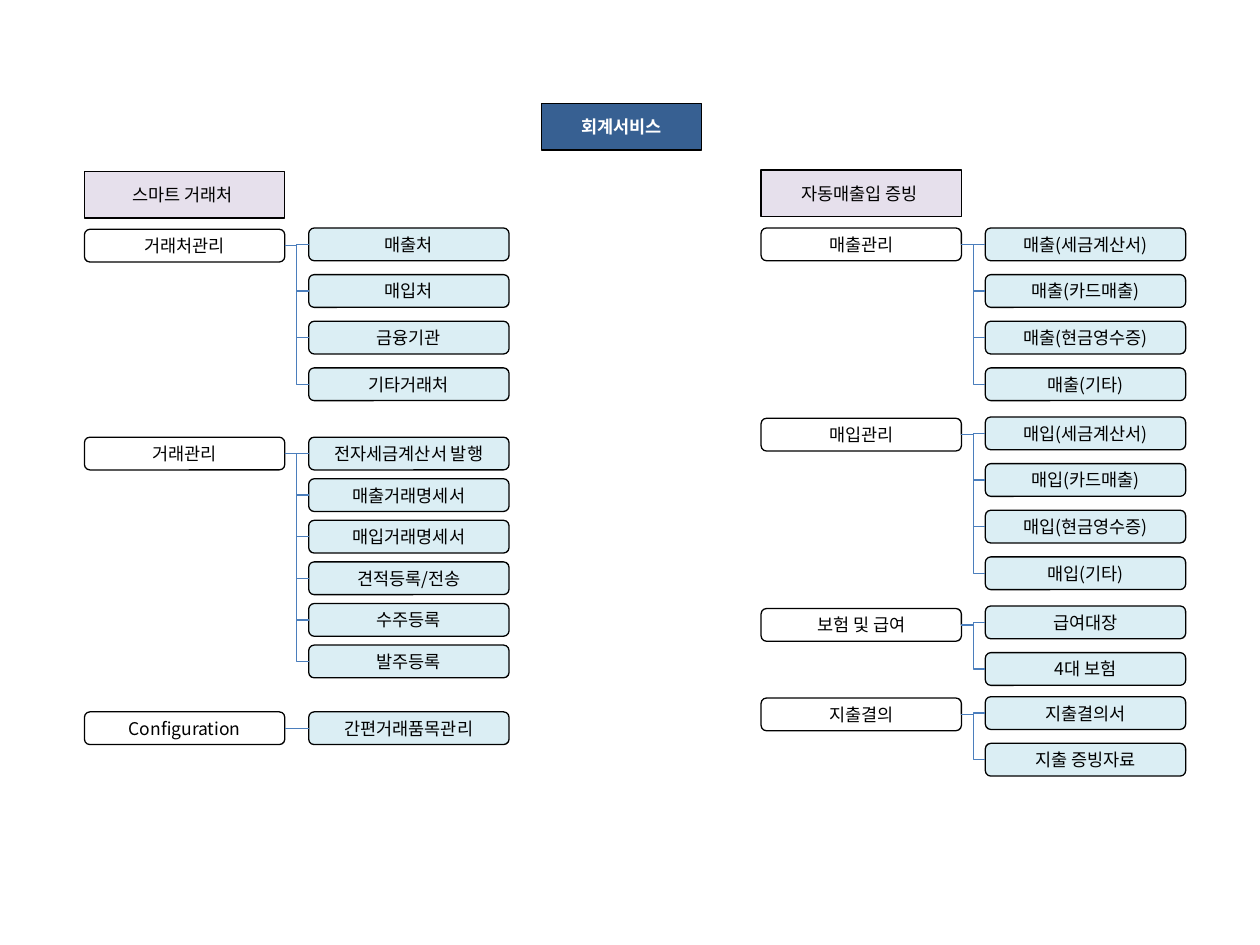
from dataclasses import dataclass

from lxml import etree
from pptx import Presentation
from pptx import util as u
from pptx.dml.color import RGBColor
from pptx.enum import shapes, text
from pptx.oxml.ns import qn


@dataclass(frozen=True)
class Theme:
    """Colours, type and line sizes of the chart."""
    font: str = "Noto Sans CJK KR"
    size: float = 10
    line_width: float = 0.75
    ink: str = "000000"
    white: str = "FFFFFF"
    root: str = "376092"
    area: str = "E6E0EC"
    leaf: str = "DBEEF4"
    link: str = "4B7EBC"


BOX_WIDTH, BOX_HEIGHT, HEADER_HEIGHT = 1.59, 0.26, 0.37
LEAF_OFFSET = 1.78  # from the left of a branch to the left of its leaves
WIDE_PITCH, TIGHT_PITCH = 0.37, 0.33


def write(shape, words, *, theme, color, bold=False):
    """Put one centred line of formatted text into a shape."""
    frame = shape.text_frame
    frame.word_wrap = True
    frame.auto_size = text.MSO_AUTO_SIZE.NONE
    frame.vertical_anchor = text.MSO_ANCHOR.MIDDLE
    paragraph = frame.paragraphs[0]
    paragraph.alignment = text.PP_ALIGN.CENTER
    run = paragraph.add_run()
    run.text = words
    run.font.size = u.Pt(theme.size)
    run.font.bold = bold
    run.font.color.rgb = RGBColor.from_string(color)
    run.font.name = theme.font
    east_asian = etree.SubElement(run._r.get_or_add_rPr(), qn("a:ea"))
    east_asian.set("typeface", theme.font)


class ServiceChart:
    """Draws the parts of a service chart on one slide."""

    def __init__(self, slide, theme):
        """Keep the slide and its style."""
        self.slide, self.theme = slide, theme

    def outline(self, shape, color):
        """Give a shape or connector its line."""
        shape.line.color.rgb = RGBColor.from_string(color)
        shape.line.width = u.Pt(self.theme.line_width)

    def paint(self, shape, fill):
        """Fill a shape, or leave it clear, and outline it."""
        if fill:
            shape.fill.solid()
            shape.fill.fore_color.rgb = RGBColor.from_string(fill)
        else:
            shape.fill.background()
        self.outline(shape, self.theme.ink)

    def root(self, words, left, top, width, height):
        """Place the slide title as the root box."""
        title = self.slide.shapes.title
        title.left, title.top = u.Inches(left), u.Inches(top)
        title.width, title.height = u.Inches(width), u.Inches(height)
        self.paint(title, self.theme.root)
        write(title, words, theme=self.theme, color=self.theme.white, bold=True)

    def box(self, words, left, top, fill=None, height=BOX_HEIGHT,
            kind=shapes.MSO_SHAPE.ROUNDED_RECTANGLE):
        """Add a labelled box."""
        box = self.slide.shapes.add_shape(
            kind, u.Inches(left), u.Inches(top),
            u.Inches(BOX_WIDTH), u.Inches(height))
        box.shadow.inherit = False
        self.paint(box, fill)
        write(box, words, theme=self.theme, color=self.theme.ink)
        return box

    def area(self, words, left, top):
        """Add the header of a service area."""
        self.box(words, left, top, self.theme.area, HEADER_HEIGHT,
                 shapes.MSO_SHAPE.RECTANGLE)

    def link(self, branch, leaf):
        """Join the right of a branch to the left of a leaf."""
        link = self.slide.shapes.add_connector(
            shapes.MSO_CONNECTOR.ELBOW, 0, 0, 0, 0)
        link.begin_connect(branch, 3)
        link.end_connect(leaf, 1)
        self.outline(link, self.theme.link)
        etree.SubElement(link._element.spPr, qn("a:effectLst"))

    def group(self, left, name, branch_top, leaf_top, pitch, leaves):
        """Add a branch with its column of linked leaves."""
        branch = self.box(name, left, branch_top)
        for row, words in enumerate(leaves):
            leaf = self.box(words, left + LEAF_OFFSET, leaf_top + row * pitch,
                            self.theme.leaf)
            self.link(branch, leaf)


# Each area: name, left, top, groups of (name, branch top, leaf top, pitch, leaves)
AREAS = [
    ("스마트 거래처 ", 0.67, 1.36, [
        ("거래처관리", 1.82, 1.81, WIDE_PITCH,
         ["매출처", "매입처", "금융기관", "기타거래처"]),
        ("거래관리", 3.47, 3.47, TIGHT_PITCH,
         ["전자세금계산서 발행", "매출거래명세서", "매입거래명세서",
          "견적등록/전송", "수주등록", "발주등록"]),
        ("Configuration", 5.65, 5.65, WIDE_PITCH, ["간편거래품목관리"]),
    ]),
    ("자동매출입 증빙 ", 6.04, 1.35, [
        ("매출관리", 1.81, 1.81, WIDE_PITCH,
         ["매출(세금계산서)", "매출(카드매출)", "매출(현금영수증)", "매출(기타)"]),
        ("매입관리", 3.32, 3.31, WIDE_PITCH,
         ["매입(세금계산서)", "매입(카드매출)", "매입(현금영수증)", "매입(기타)"]),
        ("보험 및 급여", 4.83, 4.81, WIDE_PITCH, ["급여대장", "4대 보험"]),
        ("지출결의", 5.54, 5.53, WIDE_PITCH, ["지출결의서", "지출 증빙자료"]),
    ]),
]


def main():
    """Build and save the slide."""
    deck = Presentation()
    deck.slide_width, deck.slide_height = u.Inches(10), u.Inches(7.5)
    title_only = deck.slide_layouts[5]
    chart = ServiceChart(deck.slides.add_slide(title_only), Theme())
    chart.root("회계서비스", 4.3, 0.82, 1.27, HEADER_HEIGHT)
    for area_name, left, top, groups in AREAS:
        chart.area(area_name, left, top)
        for group in groups:
            chart.group(left, *group)
    deck.save("out.pptx")


main()
